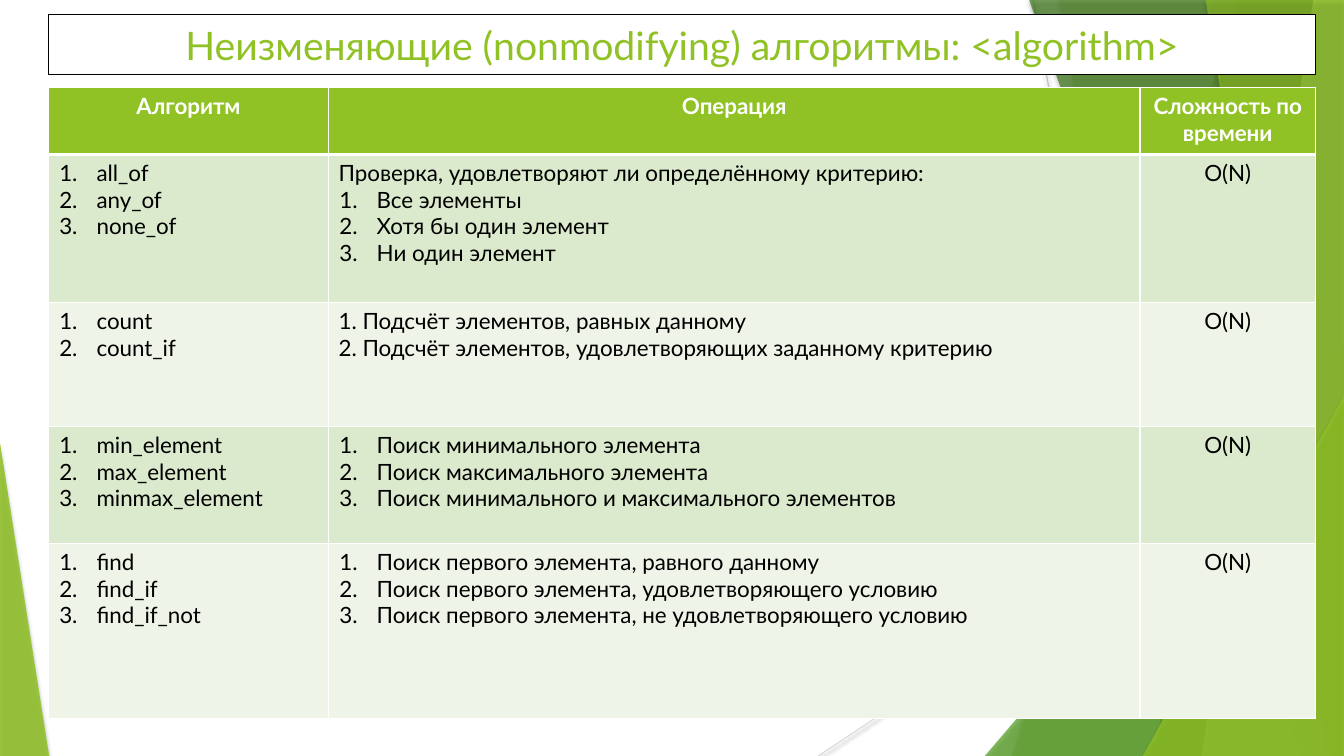
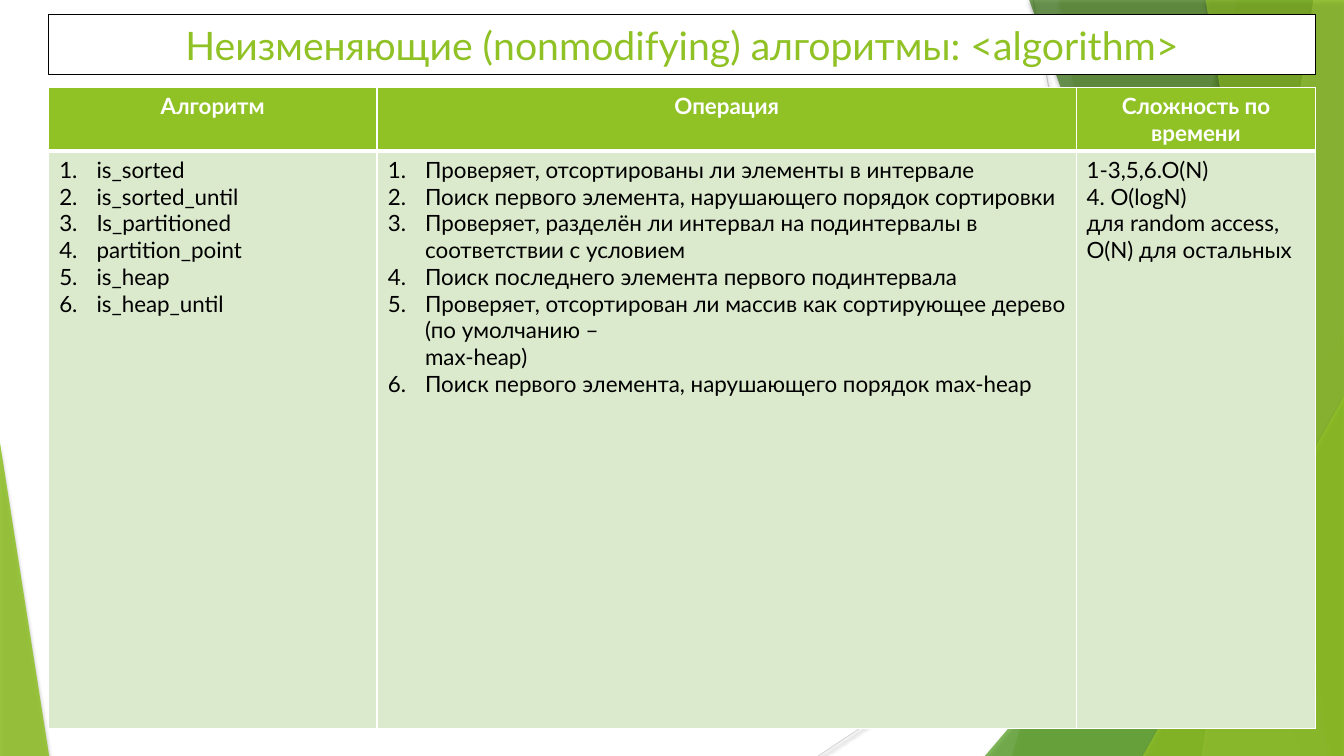
import copy
import dataclasses
import typing

import lxml.etree
import pptx
import pptx.dml.color
import pptx.enum.shapes
import pptx.enum.text
import pptx.oxml.ns
import pptx.util

Cm = pptx.util.Cm
Pt = pptx.util.Pt
qn = pptx.oxml.ns.qn
Align = pptx.enum.text.PP_ALIGN
ShapeKind = pptx.enum.shapes.MSO_SHAPE

WIDTH, HEIGHT = 33.87, 19.05
LEFT, CONTENT_WIDTH = 1.22, 31.93
TITLE_TOP, TITLE_HEIGHT = 0.36, 1.52
TABLE_TOP = 2.21

GREEN, LEAF, FOREST, LIME = "90C226", "54A021", "3F7819", "C0E474"
WHITE, BLACK = "FFFFFF", "000000"
BANDS = ("DBE9CC", "EEF4E7")
THIN, THICK = 0.96, 3
TITLE = "Неизменяющие (nonmodifying) алгоритмы: <algorithm>"
HEADINGS = ("Алгоритм", "Операция", "Сложность по времени")


def rgb(value: str) -> pptx.dml.color.RGBColor:
    return pptx.dml.color.RGBColor.from_string(value)


TITLE_FONT = {"name": "Lato", "size": Pt(28), "bold": False}
HEADING_FONT = {"name": "Lato", "size": Pt(16), "bold": True}
BODY_FONT = {"name": "Lato", "size": Pt(16), "bold": False}


@dataclasses.dataclass(frozen=True)
class Panel:
    top_x: float
    bottom_x: float
    colour: str
    opacity: int


@dataclasses.dataclass(frozen=True)
class Wedge:
    left: float
    top: float
    width: float
    peak: float
    colour: str
    opacity: int


@dataclasses.dataclass(frozen=True)
class Ray:
    start: tuple[float, float]
    end: tuple[float, float]
    colour: str


@dataclasses.dataclass(frozen=True)
class Entry:
    lines: tuple[str, ...]
    align: Align = Align.LEFT
    numbered: bool = False
    intro_lines: int = 0


@dataclasses.dataclass(frozen=True)
class Page:
    columns: tuple[float, ...]
    heights: tuple[float, ...]
    rows: tuple[tuple[Entry, ...], ...]


def numbered(*lines: str, intro_lines: int = 0) -> Entry:
    return Entry(lines, numbered=True, intro_lines=intro_lines)


def plain(*lines: str) -> Entry:
    return Entry(lines)


def centred(*lines: str) -> Entry:
    return Entry(lines, Align.CENTER)


RAYS = (
    Ray((26.04, 0), (29.41, HEIGHT), "BFBFBF"),
    Ray((WIDTH, 10.24), (20.62, HEIGHT), "D9D9D9"),
)
BACKDROP = (
    Panel(31.19, 25.5, GREEN, 30),
    Panel(26.67, 30.02, GREEN, 20),
    Wedge(24.82, 8.46, 9.05, 1, LEAF, 72),
    Panel(25.93, 32.79, FOREST, 70),
    Panel(33.1, 30.28, LIME, 70),
    Panel(30.38, 33.48, GREEN, 65),
    Wedge(28.8, 9.98, 5.07, 1, GREEN, 80),
    Wedge(0, 11.15, 1.24, 0, GREEN, 85),
)
LINEAR = centred("O(N)")
PAGES = (
    Page(
        (7.06, 20.45, 4.42),
        (1.68, 3.73, 3.12, 2.95, 4.42),
        (
            (
                numbered("all_of", "any_of", "none_of"),
                numbered(
                    "Проверка, удовлетворяют ли определённому критерию:",
                    "Все элементы",
                    "Хотя бы один элемент",
                    "Ни один элемент",
                    intro_lines=1,
                ),
                LINEAR,
            ),
            (
                numbered("count", "count_if"),
                plain(
                    "1. Подсчёт элементов, равных данному",
                    "2. Подсчёт элементов, удовлетворяющих заданному критерию",
                ),
                LINEAR,
            ),
            (
                numbered("min_element", "max_element", "minmax_element"),
                numbered(
                    "Поиск минимального элемента",
                    "Поиск максимального элемента",
                    "Поиск минимального и максимального элементов",
                ),
                LINEAR,
            ),
            (
                numbered("find", "find_if", "find_if_not"),
                numbered(
                    "Поиск первого элемента, равного данному",
                    "Поиск первого элемента, удовлетворяющего условию",
                    "Поиск первого элемента, не удовлетворяющего условию",
                ),
                LINEAR,
            ),
        ),
    ),
    Page(
        (8.28, 17.63, 6.02),
        (1.57, 14.55),
        (
            (
                numbered(
                    "is_sorted",
                    "is_sorted_until",
                    "Is_partitioned",
                    "partition_point",
                    "is_heap",
                    "is_heap_until",
                ),
                numbered(
                    "Проверяет, отсортированы ли элементы в интервале",
                    "Поиск первого элемента, нарушающего порядок сортировки",
                    "Проверяет, разделён ли интервал на подинтервалы в соответствии с условием",
                    "Поиск последнего элемента первого подинтервала",
                    "Проверяет, отсортирован ли массив как сортирующее дерево (по умолчанию – \nmax-heap)",
                    "Поиск первого элемента, нарушающего порядок max-heap",
                ),
                plain("1-3,5,6.O(N)", "4. O(logN)", "для random access, O(N) для остальных"),
            ),
        ),
    ),
)


def add_node(parent: typing.Any, tag: str, **attributes: typing.Any) -> typing.Any:
    values = {key: str(value) for key, value in attributes.items()}
    return lxml.etree.SubElement(parent, qn(tag), values)


def cast_shadow(shape: typing.Any, distance: float, opacity: int) -> None:
    effects = add_node(shape._element.spPr, "a:effectLst")
    shadow = add_node(effects, "a:outerShdw", blurRad=Pt(3.1), dist=Pt(distance),
                      dir=90 * 60000, algn="ctr", rotWithShape=0)
    tint = add_node(shadow, "a:srgbClr", val=BLACK)
    add_node(tint, "a:alpha", val=opacity * 1000)


def draw_ray(slide: typing.Any, ray: Ray) -> None:
    ends = [Cm(value) for value in (*ray.start, *ray.end)]
    line = slide.shapes.add_connector(pptx.enum.shapes.MSO_CONNECTOR.STRAIGHT, *ends)
    line.line.color.rgb = rgb(ray.colour)
    line.line.width = Pt(0.75)
    cast_shadow(line, 1.6, 38)


def draw_facet(slide: typing.Any, facet: Panel | Wedge) -> None:
    if isinstance(facet, Panel):
        top = Cm(-0.02)
        outline = slide.shapes.build_freeform(Cm(facet.top_x), top)
        outline.add_line_segments([
            (Cm(WIDTH), top), (Cm(WIDTH), Cm(HEIGHT)), (Cm(facet.bottom_x), Cm(HEIGHT)),
        ])
        shape = outline.convert_to_shape()
    else:
        shape = slide.shapes.add_shape(ShapeKind.ISOSCELES_TRIANGLE, Cm(facet.left), Cm(facet.top),
                                       Cm(facet.width), Cm(HEIGHT - facet.top))
        shape.adjustments[0] = facet.peak
    shape.fill.solid()
    shape.fill.fore_color.rgb = rgb(facet.colour)
    tint = shape._element.spPr.find(qn("a:solidFill")).find(qn("a:srgbClr"))
    add_node(tint, "a:alpha", val=facet.opacity * 1000)
    shape.line.fill.background()
    cast_shadow(shape, 1.8, 35)


def write(para: typing.Any, text: str, font: dict[str, typing.Any], colour: str, align: Align) -> None:
    para.text = text
    para.alignment = align
    for span in para.runs:
        for name, value in font.items():
            setattr(span.font, name, value)
        span.font.color.rgb = rgb(colour)
    for line_break in para._p.findall(qn("a:br")):
        line_break.append(copy.deepcopy(para.runs[0]._r.rPr))


def draw_title(slide: typing.Any) -> None:
    box = slide.shapes.add_shape(ShapeKind.RECTANGLE, Cm(LEFT), Cm(TITLE_TOP),
                                 Cm(CONTENT_WIDTH), Cm(TITLE_HEIGHT))
    box.shadow.inherit = False
    box.fill.solid()
    box.fill.fore_color.rgb = rgb(WHITE)
    box.line.color.rgb = rgb(BLACK)
    box.line.width = Pt(0.75)
    box.text_frame.vertical_anchor = pptx.enum.text.MSO_ANCHOR.MIDDLE
    write(box.text_frame.paragraphs[0], TITLE, TITLE_FONT, GREEN, Align.CENTER)


def number_paragraph(para: typing.Any) -> None:
    properties = para._p.get_or_add_pPr()
    properties.set("marL", str(Cm(0.96)))
    properties.set("indent", str(Cm(-0.94)))
    add_node(add_node(properties, "a:buClr"), "a:srgbClr", val=BLACK)
    add_node(properties, "a:buFont", typeface="+mj-lt")
    add_node(properties, "a:buAutoNum", type="arabicPeriod")


def style_cell(cell: typing.Any, row: int) -> None:
    top = THICK if row == 1 else THIN
    bottom = THICK if row == 0 else THIN
    properties = cell._tc.get_or_add_tcPr()
    for side, width in (("L", THIN), ("R", THIN), ("T", top), ("B", bottom)):
        border = add_node(properties, f"a:ln{side}", w=Pt(width))
        add_node(add_node(border, "a:solidFill"), "a:srgbClr", val=WHITE)
    cell.fill.solid()
    cell.fill.fore_color.rgb = rgb(BANDS[(row - 1) % 2] if row else GREEN)


def fill_cell(cell: typing.Any, entry: Entry, row: int) -> None:
    style_cell(cell, row)
    font, colour = (BODY_FONT, BLACK) if row else (HEADING_FONT, WHITE)
    for index, line in enumerate(entry.lines):
        para = cell.text_frame.add_paragraph() if index else cell.text_frame.paragraphs[0]
        if entry.numbered and index >= entry.intro_lines:
            number_paragraph(para)
        write(para, line, font, colour, entry.align)


def draw_table(slide: typing.Any, page: Page) -> None:
    rows = (tuple(centred(heading) for heading in HEADINGS), *page.rows)
    table = slide.shapes.add_table(len(rows), len(HEADINGS), Cm(LEFT), Cm(TABLE_TOP),
                                   Cm(CONTENT_WIDTH), Cm(sum(page.heights))).table
    for column, width in zip(table.columns, page.columns):
        column.width = Cm(width)
    for row, (entries, height) in enumerate(zip(rows, page.heights)):
        table.rows[row].height = Cm(height)
        for column, entry in enumerate(entries):
            fill_cell(table.cell(row, column), entry, row)


def main() -> None:
    deck = pptx.Presentation()
    deck.slide_width, deck.slide_height = Cm(WIDTH), Cm(HEIGHT)
    for page in PAGES:
        slide = deck.slides.add_slide(deck.slide_layouts[6])
        for ray in RAYS:
            draw_ray(slide, ray)
        for facet in BACKDROP:
            draw_facet(slide, facet)
        draw_title(slide)
        draw_table(slide, page)
    deck.save("out.pptx")


if __name__ == "__main__":
    main()
